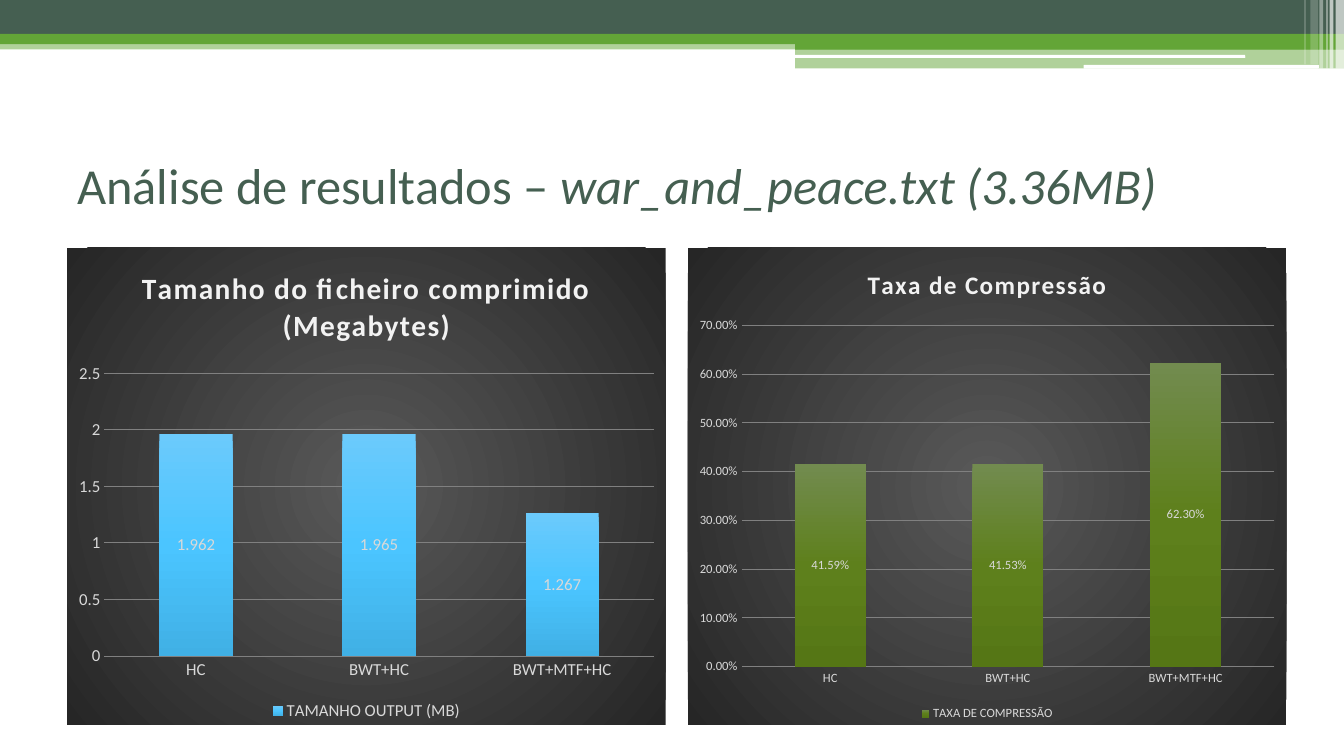
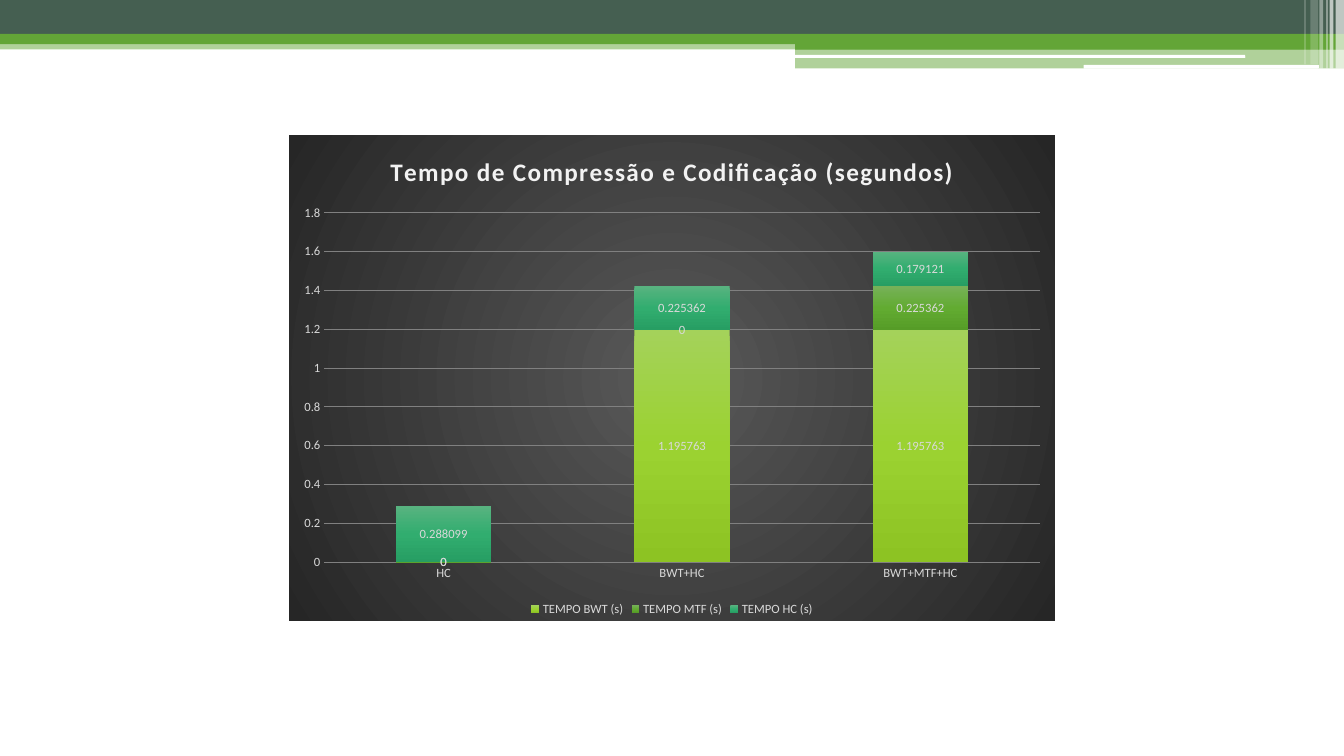
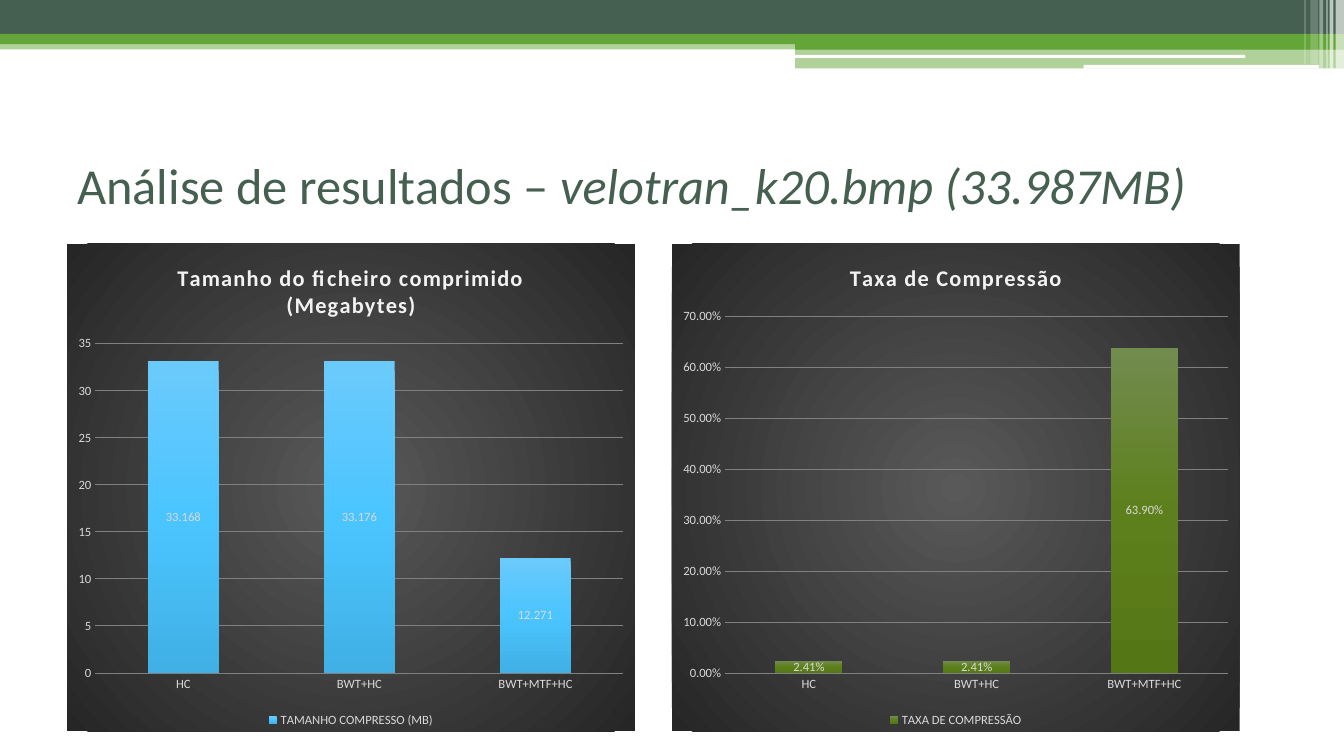
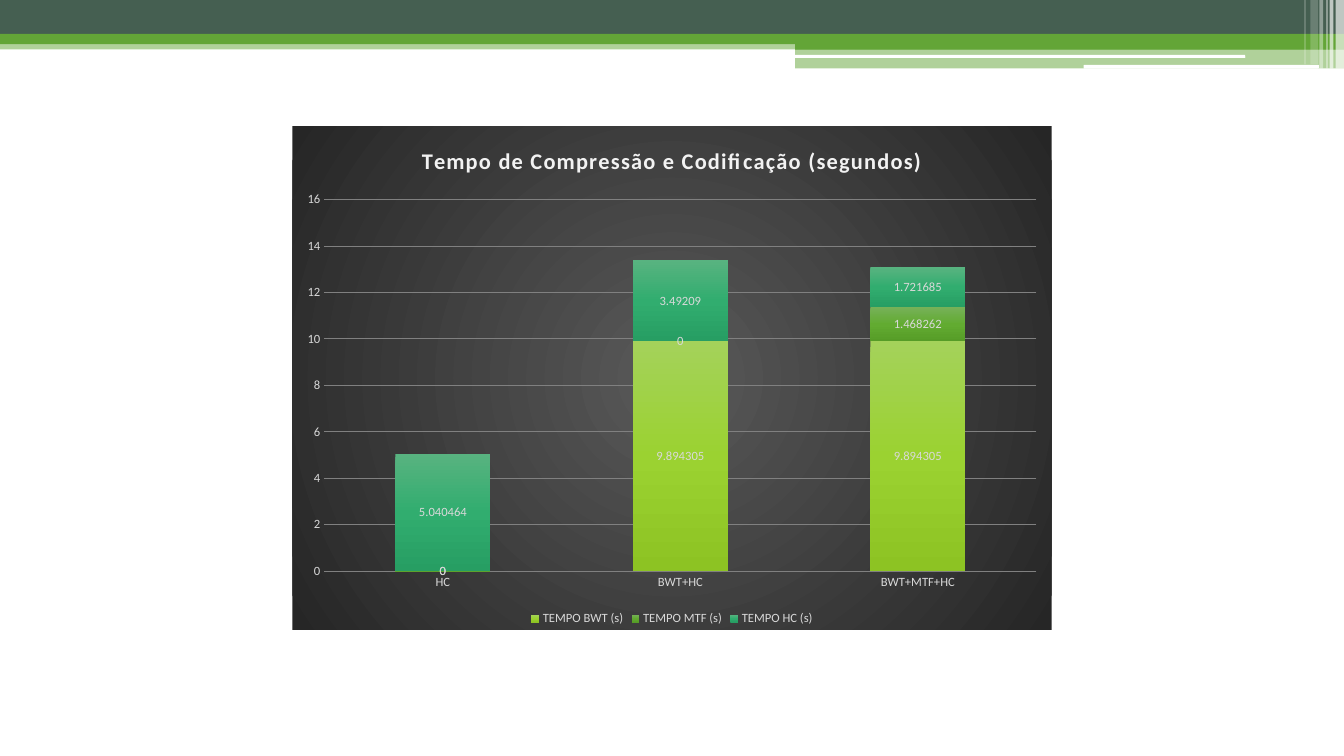
from pptx import Presentation
from pptx.chart.data import CategoryChartData
from pptx.dml.color import RGBColor
from pptx.enum.chart import XL_CHART_TYPE, XL_LEGEND_POSITION, XL_TICK_MARK
from pptx.enum.shapes import MSO_SHAPE
from pptx.enum.text import MSO_ANCHOR, MSO_AUTO_SIZE, PP_ALIGN
from pptx.oxml import parse_xml
from pptx.oxml.ns import nsdecls, qn
from pptx.util import Pt

FONT = "Calibri"
PINE = RGBColor(0x45, 0x5F, 0x51)
GREEN = RGBColor(0x63, 0xA5, 0x37)
WHITE = RGBColor(0xFF, 0xFF, 0xFF)
PALE = RGBColor(0xF2, 0xF2, 0xF2)
LIGHT = RGBColor(0xD9, 0xD9, 0xD9)
GREY = RGBColor(0x80, 0x80, 0x80)
COAL = (RGBColor(0x59, 0x59, 0x59), RGBColor(0x26, 0x26, 0x26))
BLUE = (RGBColor(0x6B, 0xCA, 0xFC), RGBColor(0x4B, 0xC5, 0xFF), RGBColor(0x40, 0xB0, 0xE5))
OLIVE = (RGBColor(0x72, 0x8B, 0x4F), RGBColor(0x5E, 0x80, 0x1C), RGBColor(0x55, 0x76, 0x15))
LIME = (RGBColor(0xA4, 0xD2, 0x5A), RGBColor(0x9B, 0xD2, 0x31), RGBColor(0x8D, 0xC3, 0x23))
LEAF = (RGBColor(0x76, 0xB1, 0x58), RGBColor(0x62, 0xAB, 0x31), RGBColor(0x56, 0x9C, 0x27))
JADE = (RGBColor(0x58, 0xB3, 0x80), RGBColor(0x31, 0xAD, 0x6F), RGBColor(0x27, 0x9E, 0x63))

CATS = ("HC", "BWT+HC", "BWT+MTF+HC")
RATE = "0.00%"
DOWN = '<a:lin ang="5400000" scaled="0"/>'
ROUND = ('<a:path path="circle"><a:fillToRect l="50000" t="50000" '
         'r="50000" b="50000"/></a:path>')
RECT = MSO_SHAPE.RECTANGLE
PILL = MSO_SHAPE.ROUNDED_RECTANGLE

BANDS = (
    (RECT, 0, 28.8, 960, 6.5, GREEN, 50),
    (RECT, 0, 0, 960, 24.5, PINE, 100),
    (RECT, 0, 24.2, 960, 7.3, GREEN, 100),
    (RECT, 568, 28, 392, 7.4, GREEN, 100),
    (RECT, 568, 34.6, 392, 14.2, GREEN, 50),
    (PILL, 567.5, 39.2, 322, 2.2, WHITE, 100),
    (PILL, 774, 46.3, 168, 2.7, WHITE, 100),
    (RECT, 954, 0, 6, 49, WHITE, 65),
    (RECT, 949.7, 0, 2.7, 49, WHITE, 65),
    (RECT, 947.5, 0, 0.9, 49, WHITE, 60),
    (RECT, 942.4, 0, 2.7, 49, WHITE, 40),
    (RECT, 936, 0, 5.5, 46, WHITE, 20),
    (RECT, 931.7, 0, 0.9, 46, WHITE, 30),
)


def style(font, size, color, bold=False, slant=False):
    font.name = FONT
    font.size = Pt(size)
    font.color.rgb = color
    font.bold = bold
    font.italic = slant


def write(para, text, size=36, color=PINE, bold=False, slant=False, space=0):
    run = para.add_run()
    run.text = text
    style(run.font, size, color, bold, slant)
    if space:
        run._r.get_or_add_rPr().set("spc", str(space))


def blend(tones, way):
    step = 100000 // (len(tones) - 1)
    stops = "".join(f'<a:gs pos="{n * step}"><a:srgbClr val="{tone}"/></a:gs>'
                    for n, tone in enumerate(tones))
    return f'<a:gradFill {nsdecls("a")} rotWithShape="1"><a:gsLst>{stops}</a:gsLst>{way}</a:gradFill>'


class Deck:
    def __init__(self):
        self.file = Presentation()
        self.file.slide_width = Pt(960)
        self.file.slide_height = Pt(540)
        self.page = None

    def open(self, name=None):
        self.page = self.file.slides.add_slide(self.file.slide_layouts[5 if name else 6])
        if name:
            self.title(name)

    def title(self, name):
        box = self.page.shapes.title
        box.left, box.top, box.width, box.height = Pt(48), Pt(90), Pt(864), Pt(84)
        frame = box.text_frame
        frame.auto_size = MSO_AUTO_SIZE.NONE
        frame.vertical_anchor = MSO_ANCHOR.MIDDLE
        para = frame.paragraphs[0]
        para.alignment = PP_ALIGN.LEFT
        write(para, "Análise de resultados – ")
        write(para, name, slant=True)

    def bands(self):
        tree = self.file.slide_master.shapes.element
        for n, (kind, x, y, w, h, color, alpha) in enumerate(BANDS):
            band = self.page.shapes.add_shape(kind, Pt(x), Pt(y), Pt(w), Pt(h))
            band.shadow.inherit = False
            band.line.fill.background()
            band.fill.solid()
            band.fill.fore_color.rgb = color
            if alpha < 100:
                tone = band.element.find(".//" + qn("a:srgbClr"))
                tone.append(parse_xml(f'<a:alpha {nsdecls("a")} val="{alpha * 1000}"/>'))
            band.element.nvSpPr.cNvPr.set("id", str(100 + n))
            tree.insert(2 + n, band.element)

    def chart(self, spot, name, rows, head=16, size=9, form="General"):
        data = CategoryChartData(number_format=form)
        data.categories = CATS
        for label, vals, _ in rows:
            data.add_series(label, vals)
        chart = self.page.shapes.add_chart(
            XL_CHART_TYPE.COLUMN_STACKED, *map(Pt, spot), data).chart
        style(chart.font, size, LIGHT)
        chart.has_title = True
        write(chart.chart_title.text_frame.paragraphs[0], name,
              size=head, color=PALE, bold=True, space=100)
        chart.has_legend = True
        chart.legend.position = XL_LEGEND_POSITION.BOTTOM
        chart.legend.include_in_layout = False
        style(chart.legend.font, size, LIGHT)
        for axis in (chart.category_axis, chart.value_axis):
            axis.major_tick_mark = axis.minor_tick_mark = XL_TICK_MARK.NONE
            axis.format.line.fill.background()
            style(axis.tick_labels.font, size, LIGHT)
        grid = chart.value_axis.major_gridlines.format.line
        grid.color.rgb = GREY
        grid.width = Pt(0.75)
        plot = chart.plots[0]
        plot.gap_width = 150
        plot.overlap = 100
        plot.vary_by_categories = False
        plot.has_data_labels = True
        plot.data_labels.show_value = True
        style(plot.data_labels.font, size, LIGHT)
        for part in (chart.value_axis.tick_labels, plot.data_labels):
            part.number_format = form
            part.number_format_is_linked = False
        self.paint(chart, rows)

    def paint(self, chart, rows):
        for bar in chart.plots[0].series:
            bar.format.fill.background()
        fills = chart.element.findall(f".//{qn('c:ser')}/{qn('c:spPr')}")
        for fill, (_, _, tones) in zip(fills, rows):
            fill.replace(fill.find(qn("a:noFill")), parse_xml(blend(tones, DOWN)))
        chart.element.find(qn("c:chart")).addnext(parse_xml(
            f'<c:spPr {nsdecls("c", "a")}>{blend(COAL, ROUND)}<a:ln><a:noFill/></a:ln></c:spPr>'))

    def pair(self, left, right, top, wide, high, sizes, rates, label, **form):
        self.chart((left, top, wide, high), "Tamanho do ficheiro comprimido (Megabytes)",
                   [(label, sizes, BLUE)], **form)
        self.chart((right, top, wide, high), "Taxa de Compressão",
                   [("TAXA DE COMPRESSÃO", rates, OLIVE)],
                   head=18 if form else 16, form=RATE)

    def times(self, spot, bwt, mtf, huff, head):
        rows = [("TEMPO BWT (s)", bwt, LIME), ("TEMPO MTF (s)", mtf, LEAF),
                ("TEMPO HC (s)", huff, JADE)]
        self.chart(spot, "Tempo de Compressão e Codificação (segundos)", rows, head)


def main():
    deck = Deck()
    deck.open("war_and_peace.txt (3.36MB)")
    deck.bands()
    deck.pair(48, 491.3, 177, 427.5, 340.8, (1.962, 1.965, 1.267),
              (0.4159, 0.4153, 0.623), "TAMANHO OUTPUT (MB)", head=21, size=12)
    deck.open()
    deck.times((206.5, 96.5, 547, 346.8), (0, 1.195763, 1.195763),
               (0, 0, 0.225362), (0.288099, 0.225362, 0.179121), 18)
    deck.open("velotran_k20.bmp (33.987MB)")
    deck.pair(48, 480, 174, 405.5, 348.5, (33.168, 33.176, 12.271),
              (0.0241, 0.0241, 0.639), "TAMANHO COMPRESSO (MB)")
    deck.open()
    deck.times((208.8, 90, 542.4, 360), (0, 9.894305, 9.894305),
               (0, 0, 1.468262), (5.040464, 3.49209, 1.721685), 16)
    deck.file.save("out.pptx")


if __name__ == "__main__":
    main()
